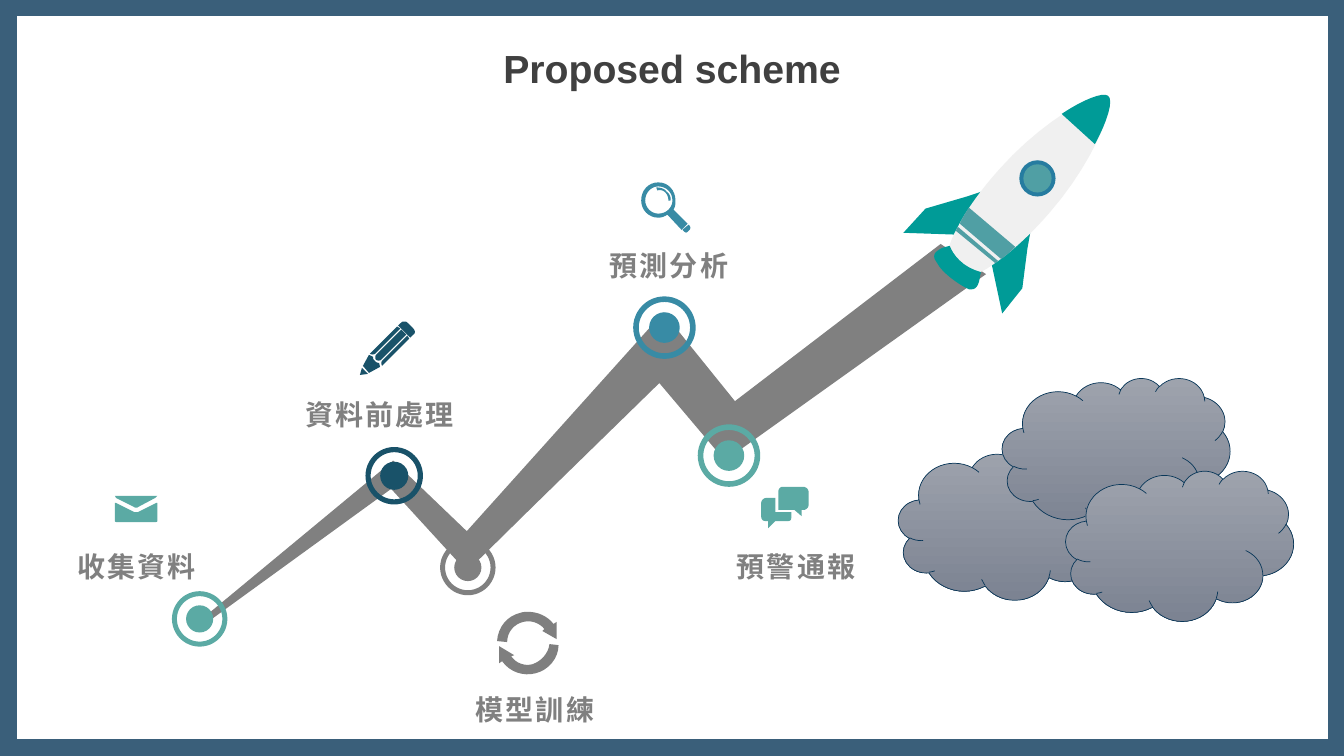
from dataclasses import dataclass
from typing import Any

from lxml.etree import SubElement
from pptx import Presentation
from pptx.dml.color import RGBColor as RGB
from pptx.enum.shapes import MSO_SHAPE as SHAPE
from pptx.enum.text import MSO_ANCHOR as ANCHOR, PP_ALIGN as ALIGN
from pptx.oxml.ns import qn
from pptx.util import Inches, Pt


@dataclass(frozen=True)
class Theme:
    navy: str = "093759"
    white: str = "FFFFFF"
    ink: str = "404040"
    grey: str = "808080"
    arrows: str = "7F7F7F"
    mint: str = "5BAAA4"
    deep: str = "195269"
    blue: str = "388BA5"
    teal: str = "009B97"
    hull: str = "F0F0F0"
    stripe: str = "509FA4"
    porthole: str = "267CA0"
    cloud: tuple[str, str] = ("9EA3AD", "7C8392")
    latin: str = "Arial"
    cjk: str = "Noto Sans CJK SC"
    title: int = 28
    label: int = 20


@dataclass(frozen=True)
class Box:
    left: float
    top: float
    width: float
    height: float

    def emu(self) -> list[int]:
        return [Inches(v) for v in (self.left, self.top, self.width, self.height)]


@dataclass(frozen=True)
class Part:
    color: str
    outline: str


@dataclass(frozen=True)
class Marker:
    x: float
    y: float
    size: float
    color: str


@dataclass(frozen=True)
class Step:
    label: str
    left: float
    top: float
    icon: Part


T = Theme()
CURVE_STEPS = 8

# Outline grammar is handled in trace.
TRAIL = Part(T.grey, (
    "9.33 2.42, 7.29 3.98, 6.58 3.1, 4.63 5.27, 3.9 4.57, 1.98 6.16, 1.98 6.2, 2.02 6.2,"
    "3.88 4.85, 4.63 5.67, 5.28 5.03, 6.54 3.8, 7.19 4.57, 9.78 2.72"))

ROCKET = [
    Part(T.teal, "9.81 2.5, 10.22 2.3, 10.19 2.47, 10.14 2.86, 9.94 3.11"),
    Part(T.teal, "9.54 2.33, 8.96 2.31, 9.18 2.07, 9.59 1.95, 9.74 1.9, 9.59 2.33"),
    Part(T.hull, (
        "9.53 2.76, 9.48 2.76 9.45 2.74 9.42 2.72, 9.39 2.68 9.38 2.63 9.39 2.56,"
        "9.4 2.48 9.43 2.38 9.49 2.27, 9.58 2.09 9.73 1.88 9.92 1.67,"
        "10.24 1.31 10.64 1.04 10.87 0.96, 10.91 0.95 10.94 0.94 10.96 0.94, 10.99 0.95,"
        "11 0.96 11.02 0.98 11 1.08, 10.95 1.31 10.74 1.73 10.41 2.11,"
        "10.22 2.33 10.03 2.5 9.87 2.61, 9.76 2.69 9.67 2.73 9.59 2.75")),
    Part(T.stripe, (
        "9.61 2.06, 9.61 2.06 9.53 2.18 9.52 2.22, 9.93 2.57,"
        "9.93 2.57 9.99 2.53 10.07 2.45")),
    Part(T.stripe, "9.5 2.25, 9.48 2.29, 9.87 2.61, 9.9 2.59"),
    Part(T.teal, (
        "10.86 1.43, 10.98 1.21 11.05 0.99 10.99 0.95, 10.94 0.91 10.74 0.99 10.53 1.13")),
    Part(T.teal, (
        "9.64 2.87, 9.61 2.87, 9.54 2.84 9.4 2.75 9.32 2.65, 9.27 2.57,"
        "9.25 2.51 9.3 2.49 9.31 2.48, 9.34 2.46 9.37 2.45 9.42 2.44,"
        "9.45 2.52 9.54 2.65 9.73 2.7, 9.72 2.74, 9.71 2.83 9.68 2.87 9.64 2.87")),
]
PORTHOLE = [(T.porthole, Box(10.11, 1.59, 0.36, 0.36)),
            (T.stripe, Box(10.15, 1.63, 0.28, 0.28))]

MARKERS = [
    Marker(1.98, 6.14, 0.55, T.mint),
    Marker(3.91, 4.72, 0.57, T.deep),
    Marker(4.64, 5.63, 0.55, T.grey),
    Marker(6.59, 3.25, 0.62, T.blue),
    Marker(7.23, 4.52, 0.62, T.mint),
]

ENVELOPE = Part(T.mint, (
    "1.15 4.94, 1.33 5.03, 1.34 5.04 1.36 5.04 1.37 5.03, 1.54 4.94, 1.56 4.92, 1.14 4.92;"
    "1.55 4.99, 1.37 5.08, 1.36 5.08 1.34 5.08 1.33 5.08, 1.15 4.99, 1.14 4.99, 1.14 5.17,"
    "1.14 5.18 1.15 5.18 1.17 5.18, 1.53 5.18, 1.55 5.18 1.56 5.18 1.56 5.17, 1.56 4.99"))
PENCIL = Part(T.deep, (
    "3.59 3.65, 3.65 3.71, 3.57 3.72;"
    "3.66 3.52, 3.7 3.54, 3.7 3.55 3.7 3.57 3.72 3.58, 3.73 3.6 3.75 3.6 3.76 3.6,"
    "3.77 3.64, 3.66 3.7, 3.6 3.63;"
    "4.04 3.33, 4.06 3.36, 3.79 3.63, 3.78 3.61 3.78 3.59 3.79 3.58;"
    "3.98 3.27, 4.03 3.32, 3.78 3.57, 3.77 3.58 3.74 3.58 3.73 3.57,"
    "3.72 3.56 3.72 3.53 3.73 3.52;"
    "3.94 3.24, 3.97 3.26, 3.72 3.51, 3.71 3.52 3.68 3.52 3.67 3.51;"
    "4.01 3.19, 4.02 3.19 4.03 3.19 4.04 3.2, 4.1 3.26, 4.12 3.28 4.12 3.31 4.1 3.32,"
    "4.07 3.35, 3.95 3.23, 3.98 3.2, 3.99 3.19 4 3.19 4.01 3.19"))
CYCLE = Part(T.arrows, (
    "5.45 6.39, 5.54 6.4, 5.54 6.53 5.44 6.65 5.31 6.68, 5.19 6.71 5.06 6.67 4.98 6.56,"
    "4.95 6.58, 4.95 6.41, 5.1 6.5, 5.07 6.51, 5.12 6.58 5.2 6.61 5.28 6.59,"
    "5.37 6.56 5.44 6.48 5.45 6.39;"
    "5.24 6.07, 5.33 6.07 5.43 6.11 5.49 6.19, 5.52 6.17, 5.52 6.34, 5.38 6.26, 5.4 6.24,"
    "5.35 6.18 5.27 6.15 5.19 6.17, 5.1 6.19 5.03 6.27 5.03 6.37, 4.93 6.36,"
    "4.94 6.22 5.03 6.11 5.16 6.08, 5.19 6.07 5.21 6.07 5.24 6.07"))
MAGNIFIER = Part(T.blue, (
    "6.83 2.23, 6.84 2.24, 6.85 2.25 6.85 2.27 6.84 2.28, 6.82 2.3,"
    "6.81 2.31 6.8 2.31 6.79 2.3, 6.77 2.28;"
    "6.51 1.86, 6.55 1.86 6.59 1.87 6.61 1.9, 6.64 1.92 6.66 1.96 6.65 1.99, 6.63 1.99,"
    "6.63 1.96 6.62 1.93 6.6 1.91, 6.58 1.89 6.55 1.88 6.52 1.89;"
    "6.53 1.85, 6.46 1.85 6.4 1.91 6.4 1.99, 6.4 2.06 6.46 2.12 6.53 2.12,"
    "6.61 2.12 6.67 2.06 6.67 1.99, 6.67 1.91 6.61 1.85 6.53 1.85;"
    "6.53 1.81, 6.63 1.81 6.7 1.89 6.7 1.99, 6.7 2.02 6.7 2.05 6.68 2.08, 6.82 2.22,"
    "6.76 2.28, 6.62 2.13, 6.59 2.15 6.56 2.16 6.53 2.16, 6.43 2.16 6.36 2.08 6.36 1.99,"
    "6.36 1.89 6.43 1.81 6.53 1.81"))
CHAT = Part(T.mint, (
    "7.69 5.08, 7.69 4.94, 7.6 4.94, 7.57 4.94 7.55 4.97 7.55 4.99, 7.55 5.12,"
    "7.55 5.16 7.57 5.17 7.6 5.17, 7.62 5.17, 7.62 5.24, 7.69 5.17, 7.81 5.17,"
    "7.84 5.17 7.85 5.16 7.85 5.12, 7.85 5.08;"
    "7.97 4.83, 7.76 4.83, 7.74 4.83 7.72 4.85 7.72 4.88, 7.72 5.06, 7.88 5.06, 7.95 5.12,"
    "7.95 5.06, 7.97 5.06, 7.99 5.06 8.02 5.04 8.02 5.01, 8.02 4.88,"
    "8.02 4.85 7.99 4.83 7.97 4.83"))

STEPS = [
    Step("收集資料", 0.18, 5.4, ENVELOPE),
    Step("資料前處理", 2.59, 3.89, PENCIL),
    Step("模型訓練", 4.13, 6.82, CYCLE),
    Step("預測分析", 5.46, 2.41, MAGNIFIER),
    Step("預警通報", 6.72, 5.4, CHAT),
]
CLOUDS = [(8.91, 4.46), (9.94, 3.75), (10.57, 4.67)]


def set_attrs(obj: Any, values: dict[str, Any]) -> None:
    for name, value in values.items():
        setattr(obj, name, value)


def paint(shape: Any, color: str) -> Any:
    shape.shadow.inherit = False
    shape.fill.solid()
    shape.fill.fore_color.rgb = RGB.from_string(color)
    shape.line.fill.background()
    return shape


def add_preset(shapes: Any, kind: SHAPE, box: Box, color: str) -> Any:
    return paint(shapes.add_shape(kind, *box.emu()), color)


def trace(contour: str) -> list[tuple[int, int]]:
    points: list[tuple[float, float]] = []
    for segment in contour.split(","):
        v = [float(n) for n in segment.split()]
        if len(v) == 2:
            points.append((v[0], v[1]))
            continue
        start = points[-1]
        for i in range(1, CURVE_STEPS + 1):
            t = i / CURVE_STEPS
            u = 1 - t
            points.append(tuple(
                u**3 * start[k] + 3 * u * u * t * v[k] + 3 * u * t * t * v[k + 2]
                + t**3 * v[k + 4] for k in (0, 1)))
    return [(Inches(x), Inches(y)) for x, y in points]


def add_part(shapes: Any, part: Part) -> None:
    contours = [trace(c) for c in part.outline.split(";")]
    builder = shapes.build_freeform(*contours[0][0])
    for i, points in enumerate(contours):
        if i:
            builder.move_to(*points[0])
        builder.add_line_segments(points[1:], close=True)
    paint(builder.convert_to_shape(), part.color)


def add_text(shapes: Any, text: str, box: Box, font: str, size: int, color: str,
             spacing: int = 0) -> None:
    tf = shapes.add_textbox(*box.emu()).text_frame
    set_attrs(tf, {"word_wrap": True, "vertical_anchor": ANCHOR.MIDDLE, "margin_left": 0,
                   "margin_right": 0, "margin_top": 0, "margin_bottom": 0})
    p = tf.paragraphs[0]
    p.alignment = ALIGN.CENTER
    r = p.add_run()
    r.text = text
    r.font.color.rgb = RGB.from_string(color)
    set_attrs(r.font, {"name": font, "size": Pt(size), "bold": True})
    props = r.font._element
    SubElement(props, qn("a:ea")).set("typeface", font)
    if spacing:
        props.set("spc", str(spacing))


def add_marker(shapes: Any, m: Marker) -> None:
    group = shapes.add_group_shape().shapes
    for kind, size in ((SHAPE.OVAL, m.size * 0.49), (SHAPE.DONUT, m.size)):
        box = Box(m.x - size / 2, m.y - size / 2, size, size)
        shape = add_preset(group, kind, box, m.color)
    shape.adjustments[0] = 0.09


def add_step(shapes: Any, step: Step) -> None:
    group = shapes.add_group_shape().shapes
    add_part(group, step.icon)
    box = Box(step.left, step.top, 2.35, 0.44)
    add_text(group, step.label, box, T.cjk, T.label, T.grey, 150)


def add_cloud(shapes: Any, left: float, top: float) -> None:
    cloud = add_preset(shapes, SHAPE.CLOUD, Box(left, top, 2.26, 1.49), T.cloud[0])
    cloud.fill.gradient()
    cloud.fill.gradient_angle = 270
    for stop, color in zip(cloud.fill.gradient_stops, T.cloud):
        stop.color.rgb = RGB.from_string(color)
    cloud.line.color.rgb = RGB.from_string(T.navy)
    cloud.line.width = Pt(0.5)


def main() -> None:
    prs = Presentation()
    set_attrs(prs, {"slide_width": Inches(13.33), "slide_height": Inches(7.5)})
    shapes = prs.slides.add_slide(prs.slide_layouts[6]).shapes
    frame = add_preset(shapes, SHAPE.RECTANGLE, Box(0, 0, 13.33, 7.5), T.navy)
    tint = frame._element.spPr.find(qn("a:solidFill"))[0]
    SubElement(tint, qn("a:alpha")).set("val", "80000")
    add_preset(shapes, SHAPE.RECTANGLE, Box(0.17, 0.16, 13, 7.17), T.white)
    add_text(shapes, "Proposed scheme", Box(4.87, 0.39, 3.59, 0.57), T.latin, T.title, T.ink)
    add_part(shapes, TRAIL)
    rocket = shapes.add_group_shape().shapes
    for part in ROCKET:
        add_part(rocket, part)
    for color, box in PORTHOLE:
        add_preset(rocket, SHAPE.OVAL, box, color)
    for marker in MARKERS:
        add_marker(shapes, marker)
    for step in STEPS:
        add_step(shapes, step)
    for left, top in CLOUDS:
        add_cloud(shapes, left, top)
    prs.save("out.pptx")


if __name__ == "__main__":
    main()
